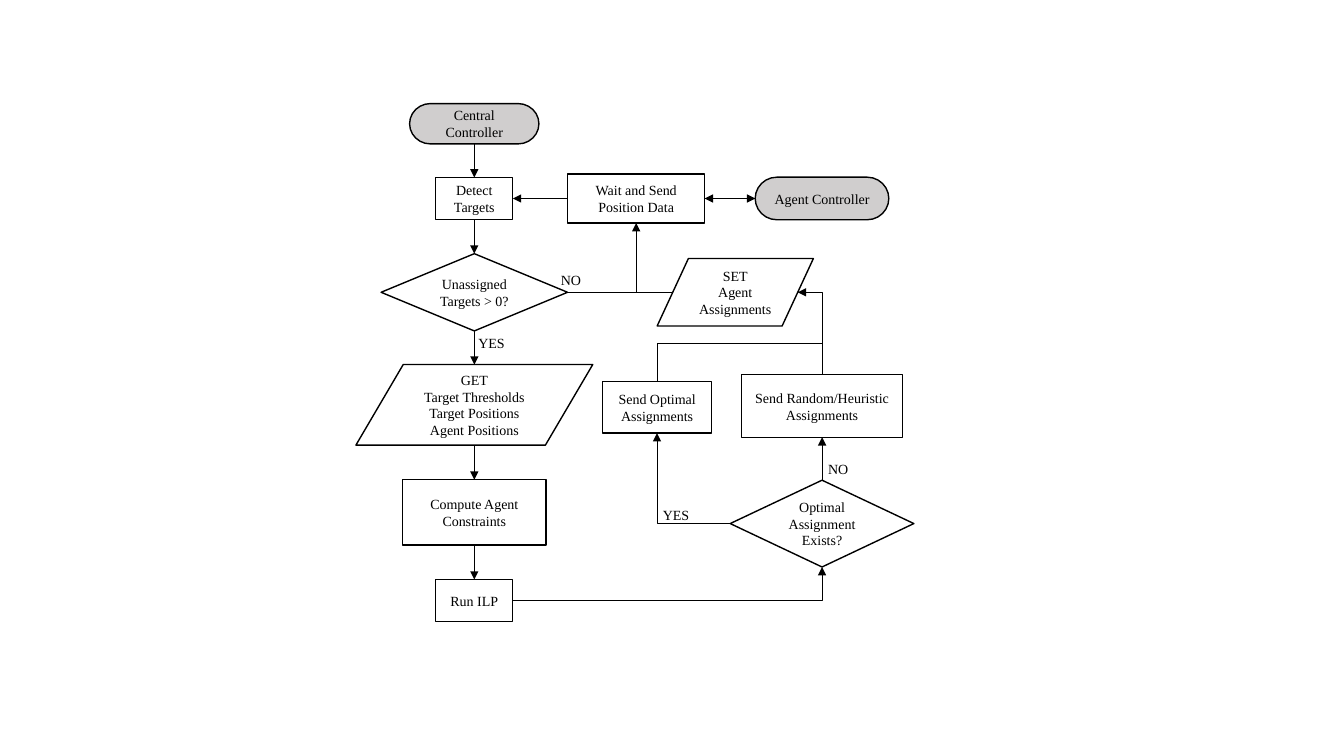
from dataclasses import dataclass

from lxml import etree
from pptx import Presentation
from pptx.dml.color import RGBColor
from pptx.enum.shapes import MSO_CONNECTOR, MSO_SHAPE
from pptx.enum.text import MSO_ANCHOR, PP_ALIGN
from pptx.oxml.ns import qn
from pptx.util import Pt

TERMINATOR = MSO_SHAPE.FLOWCHART_TERMINATOR
PROCESS = MSO_SHAPE.FLOWCHART_PROCESS
DECISION = MSO_SHAPE.FLOWCHART_DECISION
DATA = MSO_SHAPE.FLOWCHART_DATA
STRAIGHT = MSO_CONNECTOR.STRAIGHT
ELBOW = MSO_CONNECTOR.ELBOW
CENTER = PP_ALIGN.CENTER
MIDDLE = MSO_ANCHOR.MIDDLE
TOP, LEFT, BOTTOM, RIGHT = range(4)


@dataclass(frozen=True)
class Theme:
    font: str = "Times New Roman"
    size: float = 10
    ink: RGBColor = RGBColor(0x00, 0x00, 0x00)
    terminal: RGBColor = RGBColor(0xD0, 0xCE, 0xCE)
    outline: float = 1
    wire: float = 0.5


THEME = Theme()


def add_run(p, text):
    r = p.add_run()
    r.text = text
    r.font.name = THEME.font
    r.font.size = Pt(THEME.size)
    r.font.color.rgb = THEME.ink


def add_node(s, kind, cx, cy, w, h, *lines):
    sp = s.shapes.add_shape(kind, Pt(cx - w / 2), Pt(cy - h / 2), Pt(w), Pt(h))
    sp.shadow.inherit = False
    if kind == TERMINATOR:
        sp.fill.solid()
        sp.fill.fore_color.rgb = THEME.terminal
    else:
        sp.fill.background()
    sp.line.color.rgb = THEME.ink
    sp.line.width = Pt(THEME.outline)
    tf = sp.text_frame
    tf.word_wrap = True
    tf.vertical_anchor = MIDDLE
    for i, line in enumerate(lines):
        p = tf.add_paragraph() if i else tf.paragraphs[0]
        p.alignment = CENTER
        add_run(p, line)
    return sp


def add_label(s, text, x, y, w):
    tf = s.shapes.add_textbox(Pt(x), Pt(y), Pt(w), Pt(19.4)).text_frame
    tf.word_wrap = False
    add_run(tf.paragraphs[0], text)


def add_wire(s, start, end, ends=("tailEnd",)):
    bent = start[0] != end[0] and start[1] != end[1]
    c = s.shapes.add_connector(ELBOW if bent else STRAIGHT, *start, *end)
    c.line.color.rgb = THEME.ink
    c.line.width = Pt(THEME.wire)
    spPr = c._element.spPr
    if bent:
        spPr.find(qn("a:prstGeom")).set("prst", "bentConnector2")
    for name in ends:
        etree.SubElement(spPr.find(qn("a:ln")), qn(f"a:{name}"), type="triangle")
    etree.SubElement(spPr, qn("a:effectLst"))
    return c


def port(sp, side):
    inset = sp.width // 10 if sp.auto_shape_type == DATA else 0
    cx, cy = sp.left + sp.width // 2, sp.top + sp.height // 2
    return {
        TOP: (cx, sp.top),
        LEFT: (sp.left + inset, cy),
        BOTTOM: (cx, sp.top + sp.height),
        RIGHT: (sp.left + sp.width - inset, cy),
    }[side]


def link(s, a, a_side, b, b_side, ends=("tailEnd",)):
    c = add_wire(s, port(a, a_side), port(b, b_side), ends)
    if a.auto_shape_type != DATA:
        c.begin_connect(a, a_side)
    if b.auto_shape_type != DATA:
        c.end_connect(b, b_side)


def main():
    prs = Presentation()
    prs.slide_width, prs.slide_height = Pt(960), Pt(540)
    s = prs.slides.add_slide(prs.slide_layouts[6])

    main_x, wait_x, optimal_x, right_x = 338.8, 454.4, 469.4, 587.2
    agent_y, check_y = 141.8, 208.8

    central = add_node(s, TERMINATOR, main_x, 88.4, 92.4, 28.8, "Central Controller")
    detect = add_node(s, PROCESS, main_x, agent_y, 55, 30, "Detect Targets")
    unassigned = add_node(s, DECISION, main_x, check_y, 133.2, 55.2,
                          "Unassigned Targets > 0?")
    get = add_node(s, DATA, main_x, 289.2, 169.2, 57.6, "GET",
                   "Target Thresholds", "Target Positions", "Agent Positions")
    compute = add_node(s, PROCESS, main_x, 366, 102.4, 46.8, "Compute Agent Constraints")
    run_ilp = add_node(s, PROCESS, main_x, 429, 55, 30, "Run ILP")
    exists = add_node(s, DECISION, right_x, 374, 131.2, 62, "Optimal Assignment Exists?")
    heuristic = add_node(s, PROCESS, right_x, 290, 115.2, 44.6,
                         "Send Random/Heuristic Assignments")
    optimal = add_node(s, PROCESS, optimal_x, 291, 78, 36.8, "Send Optimal Assignments")
    wait = add_node(s, PROCESS, wait_x, agent_y, 98, 35.2, "Wait and Send Position Data")
    agent = add_node(s, TERMINATOR, right_x, agent_y, 95.4, 30.4, "Agent Controller")
    assign = add_node(s, DATA, 525.2, check_y, 111.6, 48.2, "SET", "Agent Assignments")

    steps = [central, detect, unassigned, get, compute, run_ilp]
    for upper, lower in zip(steps, steps[1:]):
        link(s, upper, BOTTOM, lower, TOP)
    link(s, run_ilp, RIGHT, exists, BOTTOM)
    link(s, exists, LEFT, optimal, BOTTOM)
    link(s, exists, TOP, heuristic, BOTTOM)
    link(s, unassigned, RIGHT, wait, BOTTOM)
    link(s, wait, LEFT, detect, RIGHT)
    link(s, wait, RIGHT, agent, LEFT, ("headEnd", "tailEnd"))
    link(s, assign, RIGHT, heuristic, TOP, ("headEnd",))
    set_exit = port(assign, LEFT)
    add_wire(s, set_exit, (Pt(wait_x), set_exit[1]), ())
    add_wire(s, (Pt(right_x), Pt(245.4)), port(optimal, TOP), ())

    for text, x, y, w in [
        ("YES", 334.6, 235.6, 33.8),
        ("YES", 466.4, 358.2, 33.8),
        ("NO", 393.6, 190.6, 29.6),
        ("NO", 584.4, 325.4, 29.6),
    ]:
        add_label(s, text, x, y, w)

    prs.save("out.pptx")


main()
